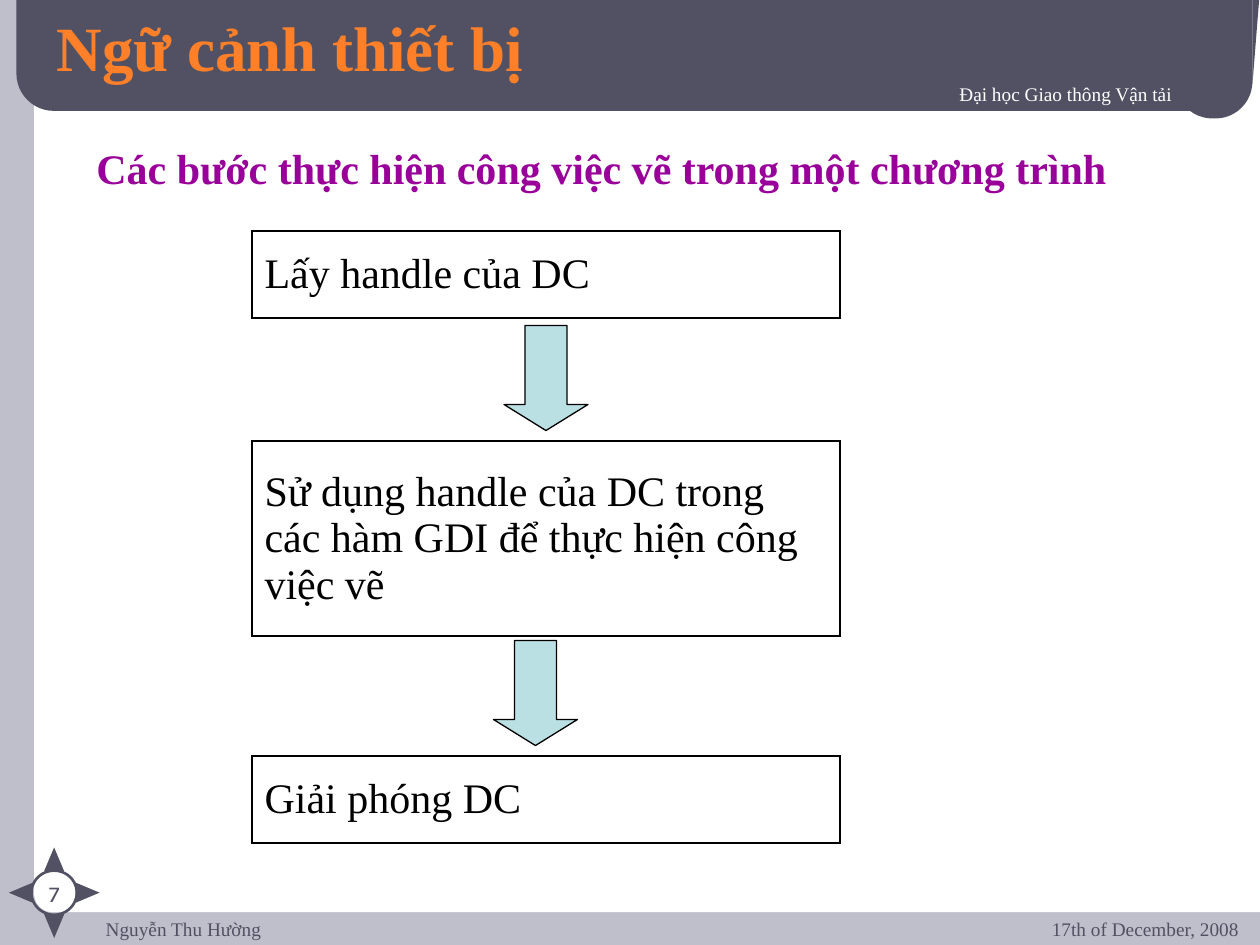
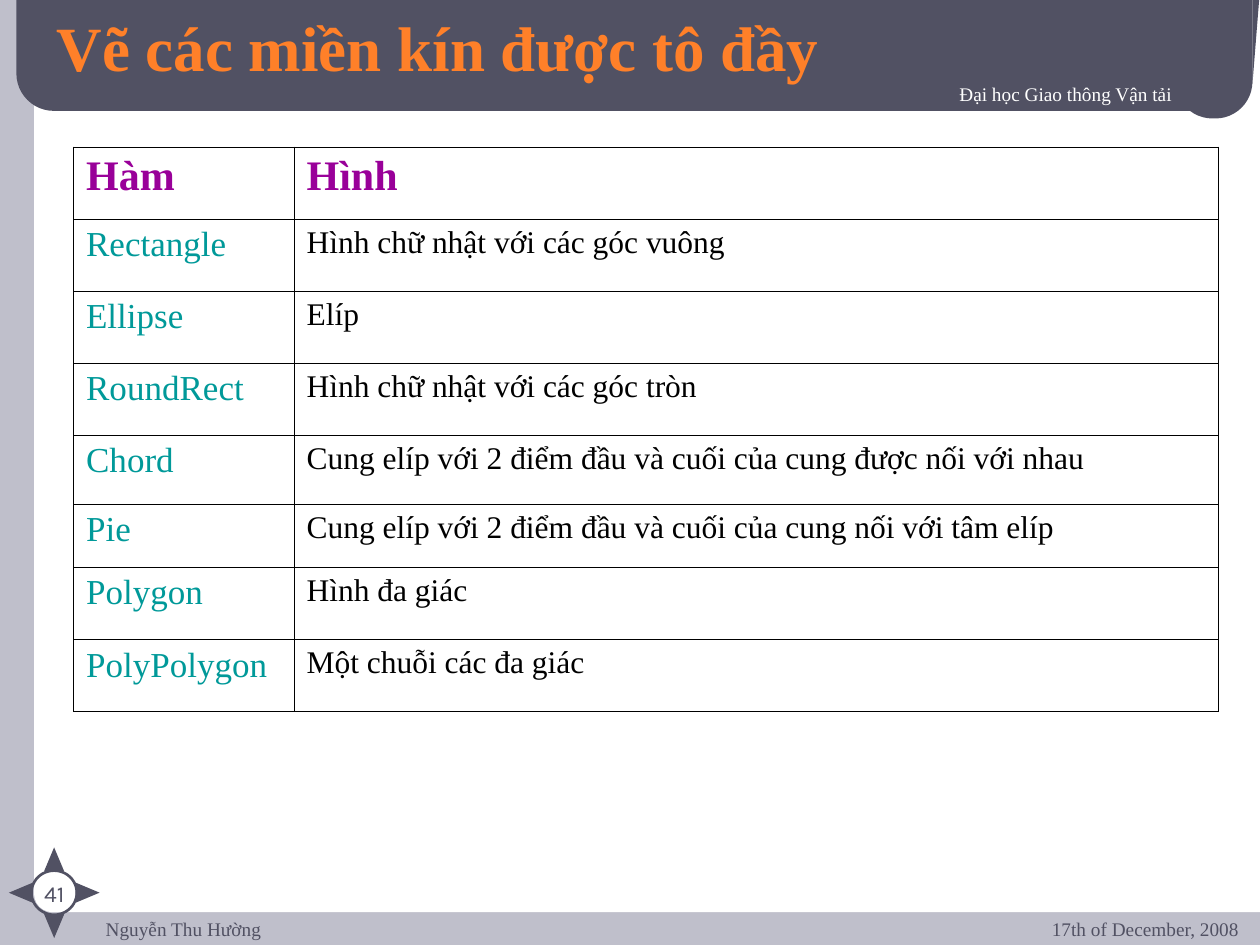
import math
from dataclasses import dataclass

from lxml import etree
from pptx import Presentation
from pptx.dml.color import RGBColor
from pptx.enum import shapes, text
from pptx.oxml import ns
from pptx.util import Emu, Pt

# Shared look
SERIF, NUMERALS = "Times New Roman", "Karla"
SLATE, MIST, WHITE, BLACK = "515163", "BFBFCB", "FFFFFF", "000000"
ORANGE, PURPLE, TEAL, AQUA = "FF8029", "990099", "009999", "BBE0E3"
LEFT, CENTER, RIGHT = text.PP_ALIGN.LEFT, text.PP_ALIGN.CENTER, text.PP_ALIGN.RIGHT
TOP, MIDDLE = text.MSO_ANCHOR.TOP, text.MSO_ANCHOR.MIDDLE
KIND = shapes.MSO_SHAPE

prs = Presentation()
prs.slide_width, prs.slide_height = Pt(720), Pt(540)
# The slide is a grid of 120 columns and 90 rows
COL, ROW = prs.slide_width / 120, prs.slide_height / 90


@dataclass
class Box:
    """A place on the grid, in columns and rows."""
    col: float
    row: float
    cols: float
    rows: float

    def emu(self) -> tuple:
        return (Emu(round(self.col * COL)), Emu(round(self.row * ROW)),
                Emu(round(self.cols * COL)), Emu(round(self.rows * ROW)))


@dataclass
class Style:
    """How a run of text looks."""
    size: float
    color: str
    bold: bool = False
    font: str = SERIF
    shadow: bool = False


@dataclass
class Label:
    """A text box that recurs on every slide."""
    words: str
    box: Box
    style: Style
    align: text.PP_ALIGN = LEFT
    inset: float = 3.6


TITLE = Style(36, ORANGE, bold=True, shadow=True)
HEADING = Style(24, PURPLE, bold=True)
STEP = Style(24, BLACK)
FUNCTION = Style(20, TEAL)
MEANING = Style(18, BLACK)
FOOTER = Style(11, SLATE)
NUMBER = Style(13, SLATE, font=NUMERALS)

FRAME_LABELS = [
    Label("Nguyễn Thu Hường", Box(8.88, 87.36, 92.88, 3.96), FOOTER, inset=0),
    Label("Đại học Giao thông Vận tải", Box(36.36, 7.2, 76.44, 4.56),
          Style(11, WHITE, shadow=True), RIGHT),
    Label("17th of December, 2008", Box(90.24, 86.76, 28.92, 5.04), FOOTER, RIGHT),
]


def rgb(color: str) -> RGBColor:
    return RGBColor.from_string(color)


# Text
def add_run(p, words: str, style: Style) -> None:
    r = p.add_run()
    r.text = words
    f = r.font
    f.name, f.size, f.bold = style.font, Pt(style.size), style.bold
    f.color.rgb = rgb(style.color)
    if style.shadow:
        effects = etree.Element(ns.qn("a:effectLst"))
        shadow = etree.SubElement(effects, ns.qn("a:outerShdw"),
                                  dist="25400", dir="2700000", algn="tl")
        etree.SubElement(shadow, ns.qn("a:srgbClr"), val=BLACK)
        r._r.rPr.find(ns.qn("a:solidFill")).addnext(effects)


def add_label(s, label: Label):
    sp = s.shapes.add_textbox(*label.box.emu())
    tf = sp.text_frame
    tf.word_wrap = True
    tf.margin_top = tf.margin_bottom = Pt(label.inset)
    p = tf.paragraphs[0]
    p.alignment = label.align
    add_run(p, label.words, label.style)
    return sp


# Shapes
def add_preset(s, kind: KIND, box: Box, fill: str = "", line: str = "",
               weight: float = 1, adj: tuple = (), turn: float = 0):
    sp = s.shapes.add_shape(kind, *box.emu())
    sp.shadow.inherit = False
    sp.rotation = turn
    for i, value in enumerate(adj):
        sp.adjustments[i] = value
    if fill:
        sp.fill.solid()
        sp.fill.fore_color.rgb = rgb(fill)
    else:
        sp.fill.background()
    if line:
        sp.line.color.rgb = rgb(line)
        sp.line.width = Pt(weight)
    else:
        sp.line.fill.background()
    return sp


def add_compass(s, number: int) -> None:
    """Slide number in a ring with four points around it."""
    add_label(s, Label(str(number), Box(1.68, 83.16, 6.96, 2.64), NUMBER, CENTER))
    add_preset(s, KIND.OVAL, Box(3, 82.92, 4.32, 4.2), line=SLATE, weight=1.5)
    mid_col, mid_row, reach, width, height = 5.16, 85.02, 3.18, 1.92, 2.28
    for turn in range(0, 360, 90):
        angle = math.radians(turn)
        add_preset(s, KIND.ISOSCELES_TRIANGLE,
                   Box(mid_col + reach * math.sin(angle) - width / 2,
                       mid_row - reach * math.cos(angle) - height / 2,
                       width, height), SLATE, turn=turn)


# Tables
def add_grid(s, box: Box, widths: list, heights: list, rows: list,
             border: float, anchor=TOP, before: float = 0) -> None:
    """rows holds lists of (words, style), one for each cell."""
    table = s.shapes.add_table(len(heights), len(widths), *box.emu()).table
    table.first_row = table.horz_banding = False
    for column, width in zip(table.columns, widths):
        column.width = Emu(round(width * COL))
    for row, height, entries in zip(table.rows, heights, rows):
        row.height = Emu(round(height * ROW))
        for cell, (words, style) in zip(row.cells, entries):
            cell.fill.background()
            cell.vertical_anchor = anchor
            p = cell.text_frame.paragraphs[0]
            if before:
                p.space_before = Pt(before)
            add_run(p, words, style)
            add_borders(cell, border)


def add_borders(cell, weight: float) -> None:
    tc_pr = cell._tc.get_or_add_tcPr()
    for i, side in enumerate(("lnL", "lnR", "lnT", "lnB")):
        ln = etree.Element(ns.qn("a:" + side), w=str(Pt(weight)))
        fill = etree.SubElement(ln, ns.qn("a:solidFill"))
        etree.SubElement(fill, ns.qn("a:srgbClr"), val=BLACK)
        tc_pr.insert(i, ln)


# Slide frame: background, bands, compass, footers, title
def new_slide(title: str, number: int):
    s = prs.slides.add_slide(prs.slide_layouts[5])
    s.background.fill.solid()
    s.background.fill.fore_color.rgb = rgb(MIST)

    add_preset(s, KIND.ROUNDED_RECTANGLE, Box(3.24, -1.56, 120.12, 88.44),
               WHITE, adj=(0.02,))
    add_preset(s, KIND.ROUNDED_RECTANGLE, Box(1.56, -4.32, 117.72, 14.88),
               SLATE, adj=(0.24,))
    add_preset(s, KIND.ROUNDED_RECTANGLE, Box(111.96, 3.48, 7.32, 7.8),
               SLATE, adj=(0.48,))
    wedge = add_preset(s, KIND.RIGHT_TRIANGLE, Box(119.28, -0.96, 0.72, 9), SLATE)
    wedge._element.spPr.xfrm.set("flipV", "1")

    add_compass(s, number)
    for label in FRAME_LABELS:
        add_label(s, label)

    sp = s.shapes.title
    sp.left, sp.top, sp.width, sp.height = Box(4.2, 0.96, 100.32, 6.84).emu()
    tf = sp.text_frame
    tf.auto_size = text.MSO_AUTO_SIZE.NONE
    tf.vertical_anchor = MIDDLE
    p = tf.paragraphs[0]
    p.alignment = LEFT
    add_run(p, title, TITLE)
    s.shapes._spTree.append(sp._element)  # bring the title above the band
    return s


# Slide 7: the steps of drawing
s = new_slide("Ngữ cảnh thiết bị", 7)
heading = add_label(s, Label("Các bước thực hiện công việc vẽ trong một chương trình",
                             Box(8, 13, 105, 6), HEADING))
heading.text_frame.auto_size = text.MSO_AUTO_SIZE.SHAPE_TO_FIT_TEXT
heading.text_frame.paragraphs[0].space_before = Pt(11.2)

STEPS = [
    ("Lấy handle của DC", 22, 8.28),
    ("Sử dụng handle của DC trong các hàm GDI để thực hiện công việc vẽ", 42, 18.6),
    ("Giải phóng DC", 72, 8.28),
]
for words, top, height in STEPS:
    add_grid(s, Box(24, top, 56, height), [56], [height], [[(words, STEP)]],
             border=1.08, anchor=MIDDLE, before=15)
for col, row in ((48, 31), (47, 61)):
    add_preset(s, KIND.DOWN_ARROW, Box(col, row, 8, 10), AQUA, BLACK, 0.74,
               adj=(0.5, 0.31))

# Slide 41: functions for filled areas
s = new_slide("Vẽ các miền kín được tô đầy", 41)
FUNCTIONS = [
    ("Rectangle", "Hình chữ nhật với các góc vuông"),
    ("Ellipse", "Elíp"),
    ("RoundRect", "Hình chữ nhật với các góc tròn"),
    ("Chord", "Cung elíp với 2 điểm đầu và cuối của cung được nối với nhau"),
    ("Pie", "Cung elíp với 2 điểm đầu và cuối của cung nối với tâm elíp"),
    ("Polygon", "Hình đa giác"),
    ("PolyPolygon", "Một chuỗi các đa giác"),
]
rows = [[("Hàm", HEADING), ("Hình", HEADING)]]
rows += [[(name, FUNCTION), (meaning, MEANING)] for name, meaning in FUNCTIONS]
heights = [6.86] * 4 + [6.6, 6] + [6.86] * 2
add_grid(s, Box(7, 14, 109, sum(heights)), [21, 88], heights, rows, border=0.45)

prs.save("out.pptx")
